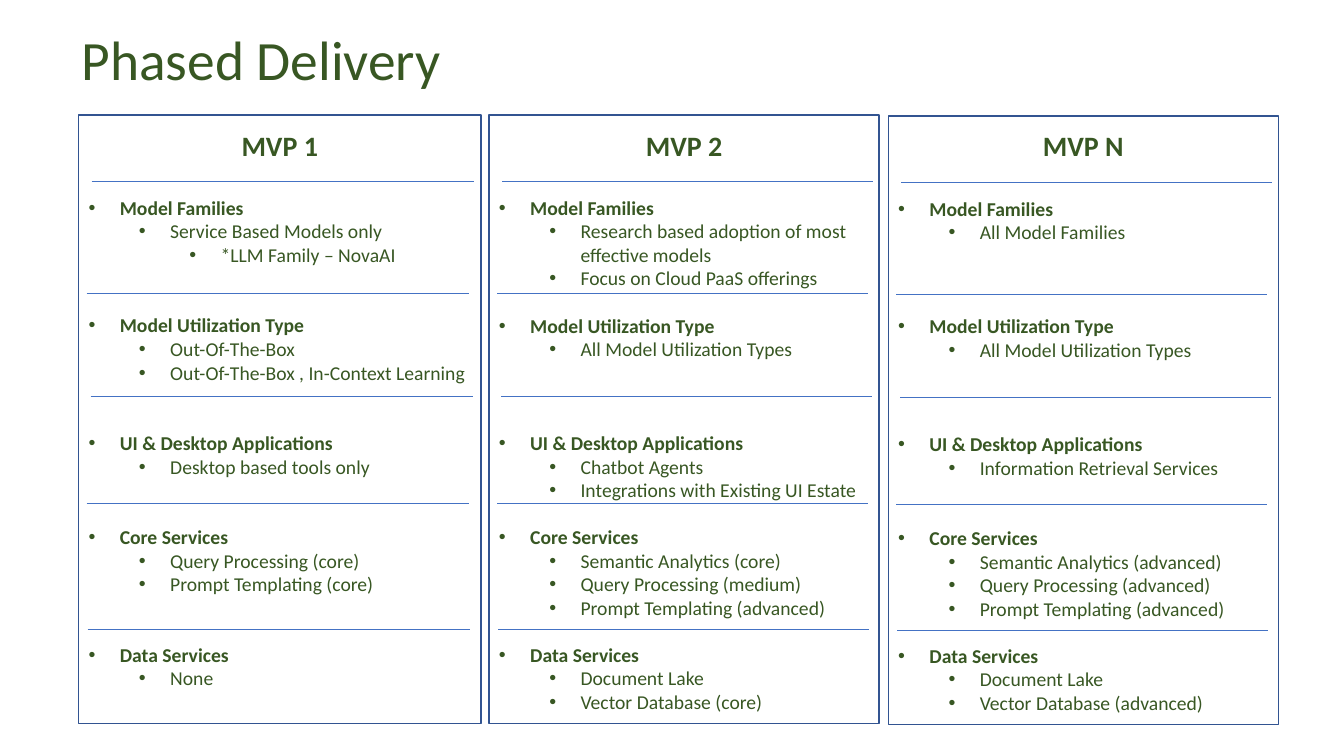
from math import ceil

from lxml.etree import SubElement
from pptx import Presentation
from pptx.dml.color import RGBColor
from pptx.enum.shapes import MSO_CONNECTOR as CONN, MSO_SHAPE as SHAPE
from pptx.enum.text import MSO_ANCHOR as ANCHOR, MSO_AUTO_SIZE as AUTO, PP_ALIGN as ALIGN
from pptx.oxml.ns import qn
from pptx.util import Inches, Pt

GREEN, OUTLINE, RULE = "385723", "325491", "4472C4"
LINE_PITCH = 16.8       # points taken by one line of 14 pt text
WRAP = 40               # characters that fit on one list line
HEADINGS = ["Model Families", "Model Utilization Type", "UI & Desktop Applications",
            "Core Services", "Data Services"]
SECTION_LINES = [5, 5, 4, 5, 3]
# Offset of each divider from its column's left and top edges
RULES = [(0.13, 0.66), (0.08, 1.77), (0.12, 2.79), (0.08, 3.85), (0.09, 5.1)]
RULE_SHARE = 0.95
# Title, column box, then the (level, text) items under each heading
PHASES = [
    ("MVP 1", (0.78, 1.14, 3.99, 6.04), [
        [(1, "Service Based Models only"), (2, "*LLM Family – NovaAI")],
        [(1, "Out-Of-The-Box"), (1, "Out-Of-The-Box , In-Context Learning")],
        [(1, "Desktop based tools only")],
        [(1, "Query Processing (core)"), (1, "Prompt Templating (core)")],
        [(1, "None")]]),
    ("MVP 2", (4.85, 1.14, 3.87, 6.04), [
        [(1, "Research based adoption of most effective models"),
         (1, "Focus on Cloud PaaS offerings")],
        [(1, "All Model Utilization Types")],
        [(1, "Chatbot Agents"), (1, "Integrations with Existing UI Estate")],
        [(1, "Semantic Analytics (core)"), (1, "Query Processing (medium)"),
         (1, "Prompt Templating (advanced)")],
        [(1, "Document Lake"), (1, "Vector Database (core)")]]),
    ("MVP N", (8.81, 1.15, 3.87, 6.04), [
        [(1, "All Model Families")],
        [(1, "All Model Utilization Types")],
        [(1, "Information Retrieval Services")],
        [(1, "Semantic Analytics (advanced)"), (1, "Query Processing (advanced)"),
         (1, "Prompt Templating (advanced)")],
        [(1, "Document Lake"), (1, "Vector Database (advanced)")]]),
]


def rgb(value):
    return RGBColor.from_string(value)


def write(p, text, size, bold=False, align=ALIGN.LEFT):
    p.text = text
    p.alignment = align
    font = p.runs[0].font
    font.name, font.size, font.bold = "Calibri", Pt(size), bold
    font.color.rgb = rgb(GREEN)


def add_bullet(tf, level, text, gap=0):
    p = tf.add_paragraph()
    write(p, text, 14, bold=level == 0)
    p.level = level
    p.space_before = Pt(gap)
    pPr = p._p.get_or_add_pPr()
    pPr.set("marL", str(Inches(0.31 + 0.5 * level)))
    pPr.set("indent", str(Inches(-0.31)))
    SubElement(pPr, qn("a:buFont")).set("typeface", "Arial")
    SubElement(pPr, qn("a:buChar")).set("char", "•")


def add_title(slide, text, box):
    sp = slide.shapes.title
    sp.left, sp.top, sp.width, sp.height = map(Inches, box)
    tf = sp.text_frame
    tf.auto_size = AUTO.NONE
    tf.vertical_anchor = ANCHOR.MIDDLE
    write(tf.paragraphs[0], text, 39.6)
    tf.paragraphs[0].line_spacing = 0.9


def add_rule(slide, x, y, width):
    line = slide.shapes.add_connector(CONN.STRAIGHT, Inches(x), Inches(y),
                                      Inches(x + width), Inches(y))
    line.line.color.rgb = rgb(RULE)
    line.line.width = Pt(0.5)
    SubElement(line._element.spPr, qn("a:effectLst"))


def add_phase(slide, title, box, sections):
    left, top, width, _ = box
    sp = slide.shapes.add_shape(SHAPE.RECTANGLE, *map(Inches, box))
    sp.shadow.inherit = False
    sp.fill.background()
    sp.line.color.rgb = rgb(OUTLINE)
    sp.line.width = Pt(1)
    tf = sp.text_frame
    tf.word_wrap = True
    tf.vertical_anchor = ANCHOR.TOP
    tf.margin_top = Inches(0.13)
    write(tf.paragraphs[0], title, 20, bold=True, align=ALIGN.CENTER)

    gap = 24.4
    for heading, items, slots in zip(HEADINGS, sections, SECTION_LINES):
        add_bullet(tf, 0, heading, gap)
        for level, text in items:
            add_bullet(tf, level, text)
        used = 1 + sum(ceil(len(text) / WRAP) for _, text in items)
        gap = (slots - used) * LINE_PITCH

    for dx, dy in RULES:
        add_rule(slide, left + dx, top + dy, width * RULE_SHARE)


def main():
    prs = Presentation()
    prs.slide_width, prs.slide_height = Inches(13.33), Inches(7.5)
    slide = prs.slides.add_slide(prs.slide_layouts[5])
    add_title(slide, "Phased Delivery", (0.71, 0.4, 11.5, 0.44))
    for phase in PHASES:
        add_phase(slide, *phase)
    prs.save("out.pptx")


if __name__ == "__main__":
    main()
